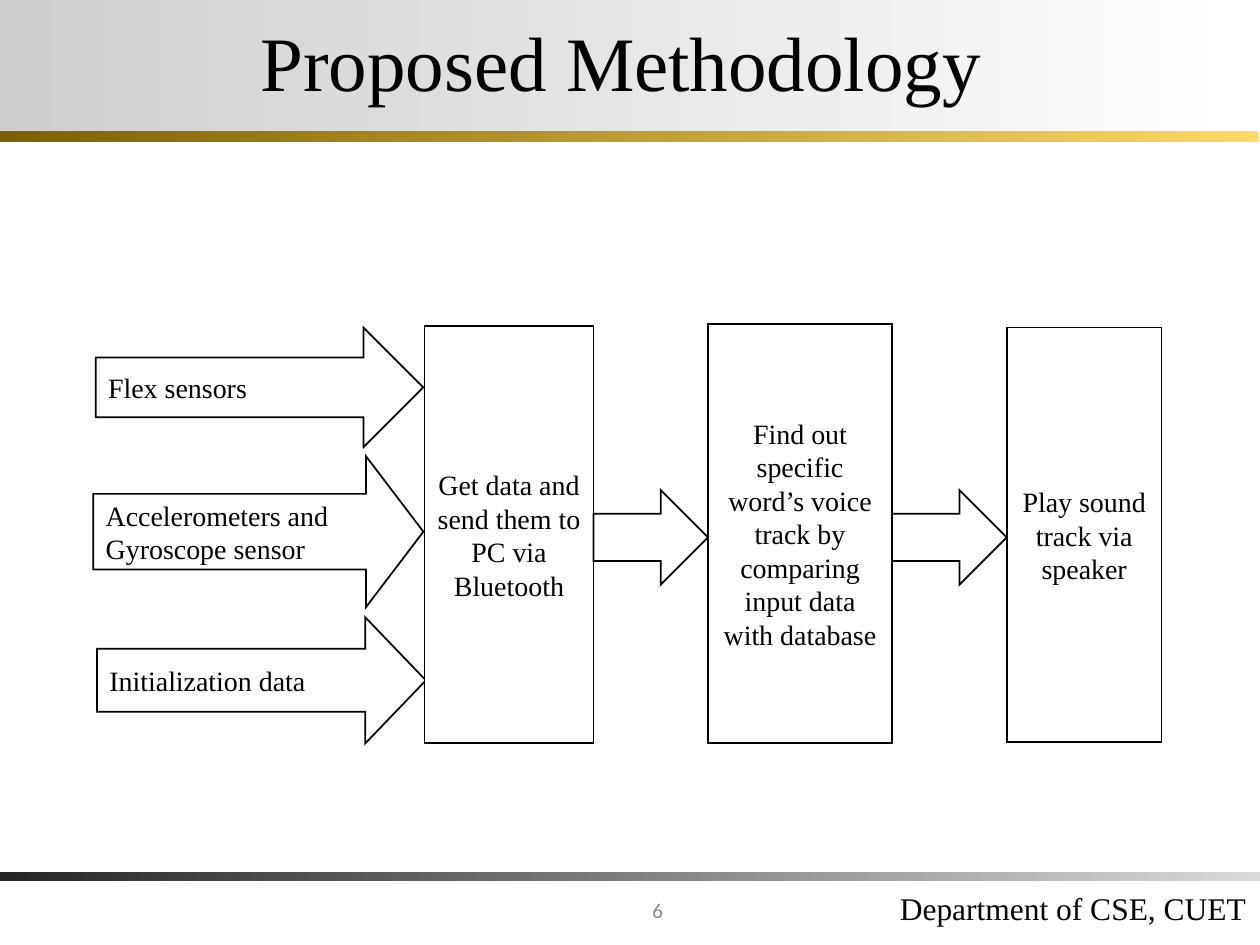
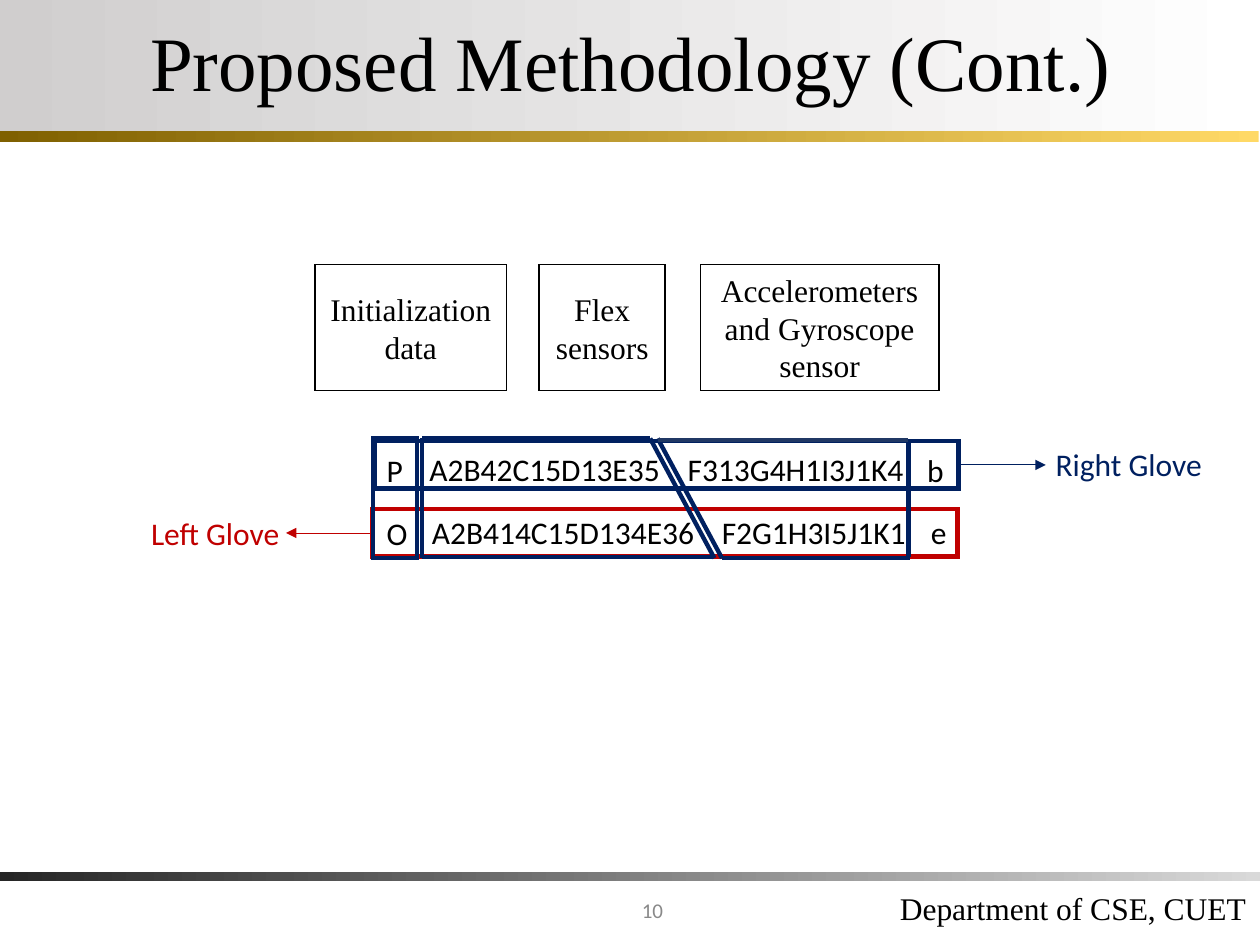
from lxml import etree
from pptx import Presentation
from pptx.dml.color import RGBColor
from pptx.enum.shapes import MSO_CONNECTOR, MSO_SHAPE
from pptx.enum.text import MSO_ANCHOR, MSO_AUTO_SIZE, PP_ALIGN
from pptx.oxml.ns import qn
from pptx.util import Inches, Pt

RECTANGLE, RIGHT_ARROW = MSO_SHAPE.RECTANGLE, MSO_SHAPE.RIGHT_ARROW
STRAIGHT = MSO_CONNECTOR.STRAIGHT
TOP, MIDDLE = MSO_ANCHOR.TOP, MSO_ANCHOR.MIDDLE
LEFT, CENTER, RIGHT = PP_ALIGN.LEFT, PP_ALIGN.CENTER, PP_ALIGN.RIGHT
FIT_SHAPE = MSO_AUTO_SIZE.SHAPE_TO_FIT_TEXT
LEFT_SIDE, RIGHT_SIDE = 1, 3

SERIF, SANS = "Times New Roman", "Calibri"
COLORS = {
    "black": "000000", "white": "FFFFFF", "silver": "D0CECE",
    "light_gray": "D9D9D9", "charcoal": "262626", "page_number": "898989",
    "gold": "FFD966", "dark_gold": "7F6000",
    "navy": "002060", "blue": "203864", "red": "C00000",
}


def color(name):
    return RGBColor.from_string(COLORS[name])


def write(shape, text, size, font=SERIF, ink="black", align=LEFT, anchor=TOP):
    frame = shape.text_frame
    frame.word_wrap = True
    frame.vertical_anchor = anchor
    paragraph = frame.paragraphs[0]
    paragraph.alignment = align
    run = paragraph.add_run()
    run.text = text
    run.font.size = Pt(size)
    run.font.name = font
    run.font.color.rgb = color(ink)
    return paragraph


def add_text(slide, box, text, size, **style):
    shape = slide.shapes.add_textbox(*map(Inches, box))
    return write(shape, text, size, **style)


def add_label(slide, left, top, width, text, ink="black"):
    """One unwrapped line of sans text."""
    shape = slide.shapes.add_textbox(*map(Inches, (left, top, width, 0.4)))
    write(shape, text, 18, font=SANS, ink=ink)
    shape.text_frame.word_wrap = False
    shape.text_frame.auto_size = FIT_SHAPE


def add_band(slide, box, right_color, left_color):
    shape = slide.shapes.add_shape(RECTANGLE, *map(Inches, box))
    shape.shadow.inherit = False
    shape.fill.gradient()
    shape.fill.gradient_angle = 180
    stops = shape.fill.gradient_stops
    for stop, position, name in zip(stops, (0, 1), (right_color, left_color)):
        stop.position = position
        stop.color.rgb = color(name)
    shape.line.fill.background()


def add_to_line(shape, tag, **attributes):
    line_element = shape.element.spPr.find(qn("a:ln"))
    etree.SubElement(line_element, qn(tag), **attributes)


def add_outline(slide, kind, box, ink="black", width=1, fill=None):
    shape = slide.shapes.add_shape(kind, *map(Inches, box))
    shape.shadow.inherit = False
    if fill:
        shape.fill.solid()
        shape.fill.fore_color.rgb = color(fill)
    else:
        shape.fill.background()
    shape.line.color.rgb = color(ink)
    shape.line.width = Pt(width)
    add_to_line(shape, "a:miter", lim="800000")
    return shape


def add_box(slide, box, text, size):
    shape = add_outline(slide, RECTANGLE, box, fill="white")
    write(shape, text, size, align=CENTER, anchor=MIDDLE)


def add_block_arrow(slide, box, head=0.5, text=None):
    shape = add_outline(slide, RIGHT_ARROW, box, fill="white")
    shape.adjustments[1] = head
    if text:
        write(shape, text, 16, anchor=MIDDLE)


def add_line(slide, start, end, ink="navy", width=2.5):
    connector = slide.shapes.add_connector(STRAIGHT, *map(Inches, start + end))
    connector.line.color.rgb = color(ink)
    connector.line.width = Pt(width)
    etree.SubElement(connector.element.spPr, qn("a:effectLst"))
    return connector


def add_pointer(slide, frame, side, start, end, ink):
    """Thin arrow that leaves the middle of one side of a frame."""
    pointer = add_line(slide, start, end, ink, 0.5)
    pointer.begin_connect(frame, side)
    add_to_line(pointer, "a:tailEnd", type="triangle")


def add_page(presentation, title, number):
    """New slide with the shared header and footer."""
    slide = presentation.slides.add_slide(presentation.slide_layouts[6])
    add_band(slide, (0, 0, 10, 1.06), "white", "silver")
    heading = add_text(slide, (0.69, 0, 8.63, 1.06), title, 44, align=CENTER, anchor=MIDDLE)
    heading.line_spacing = 0.9
    add_text(slide, (4.64, 7.01, 0.72, 0.42), number, 12, font=SANS,
             ink="page_number", align=RIGHT, anchor=MIDDLE)
    add_band(slide, (0, 6.92, 10, 0.07), "light_gray", "charcoal")
    add_text(slide, (6.83, 7.01, 3.16, 0.4), "Department of CSE, CUET", 18, align=RIGHT)
    add_band(slide, (-0.01, 1.04, 10, 0.09), "gold", "dark_gold")
    return slide


def build_process(presentation):
    slide = add_page(presentation, "Proposed Methodology ", "6")

    # Inputs
    inputs = [
        ((0.76, 2.6, 2.6, 0.95), 0.5, "Flex sensors"),
        ((0.74, 3.62, 2.62, 1.2), 0.38, "Accelerometers and Gyroscope sensor"),
        ((0.77, 4.9, 2.61, 1), 0.48, "Initialization data"),
    ]
    for box, head, text in inputs:
        add_block_arrow(slide, box, head, text)

    # Steps, with an arrow filling each gap
    steps = [
        ((3.37, 2.59, 1.34, 3.31), "Get data and send them to PC via Bluetooth"),
        ((5.62, 2.57, 1.46, 3.33), "Find out specific word’s voice track by "
                                   "comparing input data with database"),
        ((7.99, 2.6, 1.23, 3.29), "Play sound track via speaker"),
    ]
    previous_right = None
    for box, text in steps:
        left, _, width, _ = box
        if previous_right:
            add_block_arrow(slide, (previous_right, 3.89, left - previous_right, 0.75))
        add_box(slide, box, text, 16)
        previous_right = left + width


def build_data_format(presentation):
    slide = add_page(presentation, "Proposed Methodology (Cont.)", "10")

    # Field names
    for left, width, text in [
        (4.28, 1, "Flex sensors"),
        (2.5, 1.52, "Initialization data"),
        (5.56, 1.89, "Accelerometers and Gyroscope sensor"),
    ]:
        add_box(slide, (left, 2.1, width, 1), text, 18)

    # Sample data of both gloves
    for left, top, width, text in [
        (2.97, 3.53, 0.33, "P"),
        (3.31, 3.52, 2.05, "A2B42C15D13E35"),
        (5.36, 3.52, 1.96, "F313G4H1I3J1K4"),
        (7.26, 3.53, 0.33, "b"),
        (2.97, 4.03, 0.36, "O"),
        (3.33, 4.02, 2.33, "A2B414C15D134E36"),
        (5.63, 4.02, 1.68, "F2G1H3I5J1K1"),
        (7.29, 4.02, 0.32, "e"),
    ]:
        add_label(slide, left, top, width, text)

    # Glove rows and their labels
    right_glove = add_outline(slide, RECTANGLE, (2.97, 3.5, 4.64, 0.38), "navy", 2.75)
    left_glove = add_outline(slide, RECTANGLE, (2.96, 4.04, 4.64, 0.38), "red", 2.75)
    add_pointer(slide, left_glove, LEFT_SIDE, (2.96, 4.23), (2.27, 4.23), "red")
    add_label(slide, 1.1, 4.03, 1.22, "Left Glove", "red")
    add_pointer(slide, right_glove, RIGHT_SIDE, (7.61, 3.69), (8.3, 3.69), "navy")
    add_label(slide, 8.28, 3.48, 1.36, "Right Glove", "navy")

    # Outlines around the three fields
    add_outline(slide, RECTANGLE, (2.96, 3.48, 0.35, 0.95), "navy", 2.5)
    add_line(slide, (3.35, 3.48), (3.35, 4.43), width=2.25)
    for start, end in [
        ((3.35, 3.48), (5.16, 3.48)),
        ((3.35, 4.42), (5.66, 4.42)),
        ((5.16, 3.48), (5.67, 4.43)),
        ((5.22, 3.48), (5.73, 4.43)),
        ((5.73, 4.43), (7.22, 4.43)),
        ((7.21, 4.42), (7.21, 3.49)),
    ]:
        add_line(slide, start, end)
    add_line(slide, (5.22, 3.49), (7.21, 3.49), "blue")


def main():
    presentation = Presentation()
    presentation.slide_width = Inches(10)
    presentation.slide_height = Inches(7.5)
    build_process(presentation)
    build_data_format(presentation)
    presentation.save("out.pptx")


if __name__ == "__main__":
    main()
